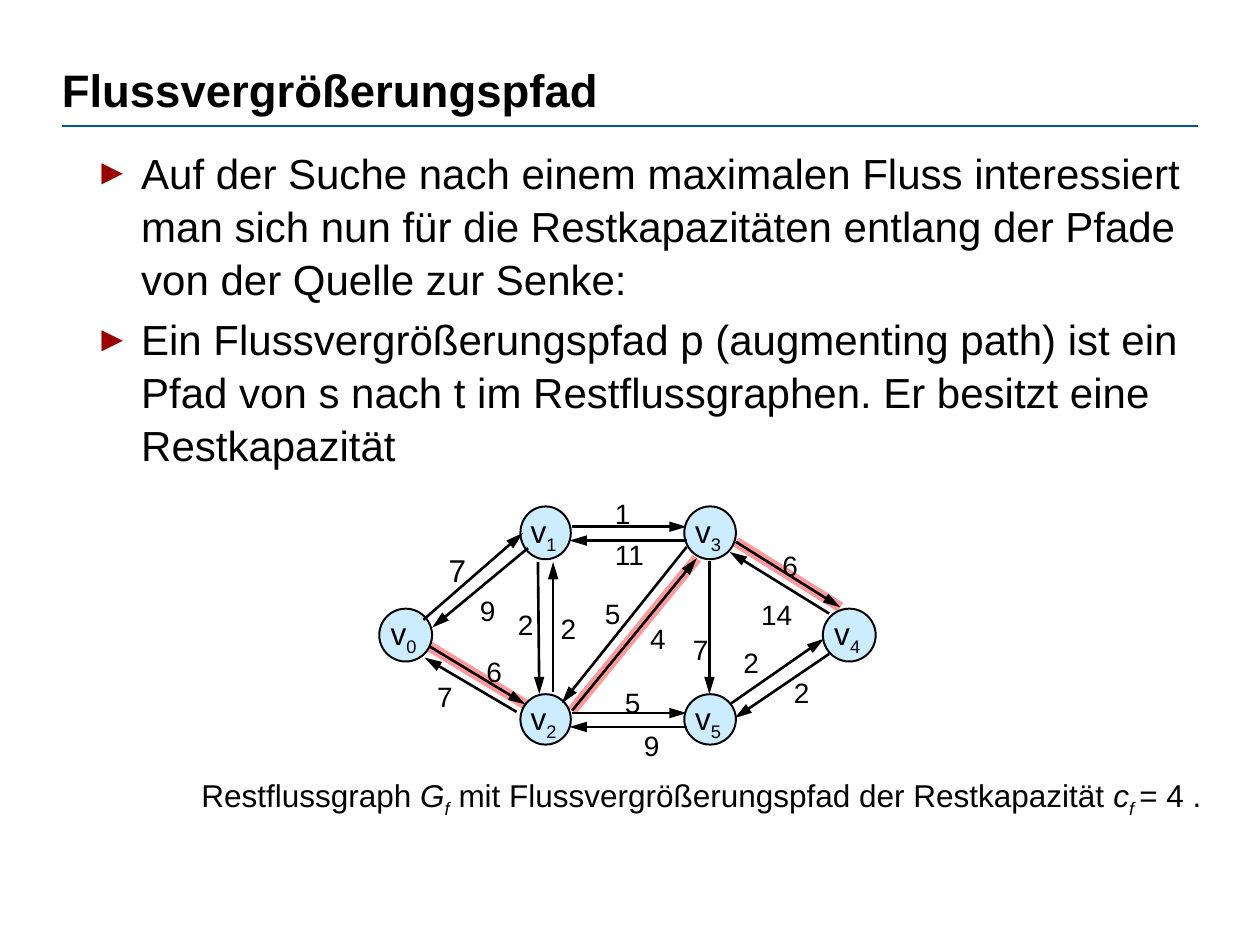
from dataclasses import dataclass

from lxml.etree import SubElement
from pptx import Presentation
from pptx.dml.color import RGBColor
from pptx.enum.shapes import MSO_CONNECTOR, MSO_SHAPE
from pptx.enum.text import MSO_ANCHOR, MSO_AUTO_SIZE, PP_ALIGN
from pptx.oxml.ns import qn
from pptx.util import Pt


@dataclass(frozen=True)
class Theme:
    font: str = "Arial"
    ink: str = "000000"
    rule: str = "005890"
    bullet: str = "990000"
    node: str = "CCECFF"
    path_glow: str = "FF9999"
    title: float = 26
    body: float = 24
    label: float = 18
    weight: float = 16
    line_spacing: float = 1.05


SUB = {"baseline": "-25000"}
ITALIC = {"italic": True}

BODY = [
    "Auf der Suche nach einem maximalen Fluss interessiert man sich nun für die "
    "Restkapazitäten entlang der Pfade von der Quelle zur Senke:",
    "Ein Flussvergrößerungspfad p (augmenting path) ist ein Pfad von s nach t im "
    "Restflussgraphen. Er besitzt eine Restkapazität",
]

CAPTION = [
    ("Restflussgraph ", {}),
    ("G", ITALIC),
    ("f", ITALIC | SUB),
    (" mit Flussvergrößerungspfad der Restkapazität ", {}),
    ("c", ITALIC),
    ("f ", ITALIC | SUB),
    ("= 4 .", {}),
]

NODES = {
    "0": (216.7, 347.8, 30.2, 30.2),
    "1": (297.4, 289.4, 28.8, 30.2),
    "2": (297.4, 396.7, 28.8, 28.8),
    "3": (391, 289.4, 29.5, 30.2),
    "4": (470.2, 347.8, 30.2, 30.2),
    "5": (391, 396.7, 29.5, 28.8),
}

EDGES_BEHIND_NODES = {
    "5-4": ((414, 404.6), (470.9, 365), "2", (424.8, 367.9)),
    "4-5": ((473.8, 373.7), (419.8, 410.4), "2", (453.6, 385.2)),
}

EDGES = {
    "0-1": ((241.9, 354.2), (298.8, 304.6), "7", (256.3, 313.9)),
    "1-0": ((301.7, 313.2), (247, 358.6), "9", (274.3, 338.4)),
    "2-3": ((326.9, 406.1), (398.2, 319), "4", (371.5, 354.2)),
    "3-2": ((392.4, 312.5), (321.1, 401.8), "5", (345.6, 339.8)),
    "1-3": ((326.9, 301), (392.4, 301), "1", (351.4, 283)),
    "3-1": ((392.4, 308.9), (325.4, 308.9), "11", (351.4, 306)),
    "0-2": ((245.5, 369.4), (300.2, 402.5), "6", (277.9, 373)),
    "2-0": ((295.2, 406.8), (242.6, 375.8), "7", (249.8, 387.4)),
    "2-5": ((326.9, 407.5), (392.4, 407.5), "5", (357.1, 391)),
    "5-2": ((392.4, 415.4), (325.4, 415.4), "9", (367.9, 415.4)),
    "3-4": ((420.5, 309.6), (480.2, 347), "6", (447.1, 312.5)),
    "4-3": ((473.8, 350.6), (416.9, 315.4), "14", (434.9, 340.6)),
    "3-5": ((405.4, 320.4), (405.4, 396.7), "7", (396, 360.7)),
    "1-2": ((307.4, 321.1), (308.2, 396.7), "2", (295.9, 346.3)),
    "2-1": ((316.1, 395.3), (316.1, 321.1), "2", (320.4, 348.5)),
}

AUGMENTING_PATH = ["3-4", "2-3", "0-2"]


def apply(target, values):
    for name, value in values.items():
        setattr(target, name, value)


class SlideBuilder:
    """Draws styled elements on the current slide, with lengths in points."""

    def __init__(self, page, theme):
        self.page = page
        self.theme = theme

    def frame(self, box, inset=(0, 0), **values):
        across, down = inset
        frame = box.text_frame
        apply(frame, {
            "margin_left": Pt(across), "margin_right": Pt(across),
            "margin_top": Pt(down), "margin_bottom": Pt(down),
            "vertical_anchor": MSO_ANCHOR.TOP, **values,
        })
        return frame

    def fill_para(self, para, spans, size):
        apply(para, {"alignment": PP_ALIGN.LEFT, "line_spacing": self.theme.line_spacing})
        for text, values in spans:
            span = para.add_run()
            span.text = text
            format_values = {"name": self.theme.font, "size": Pt(size), **values}
            baseline = format_values.pop("baseline", None)
            apply(span.font, format_values)
            span.font.color.rgb = RGBColor.from_string(self.theme.ink)
            if baseline:
                span.font._element.set("baseline", baseline)

    def title(self, text, left, top, width, height):
        box = self.page.shapes.title
        apply(box, {"left": Pt(left), "top": Pt(top), "width": Pt(width), "height": Pt(height)})
        frame = self.frame(box, auto_size=MSO_AUTO_SIZE.NONE)
        self.fill_para(frame.paragraphs[0], [(text, {"bold": True})], self.theme.title)

    def bullets(self, texts, left, top, width, height):
        box = self.page.shapes.add_textbox(Pt(left), Pt(top), Pt(width), Pt(height))
        frame = self.frame(box, word_wrap=True)
        for index, text in enumerate(texts):
            para = frame.add_paragraph() if index else frame.paragraphs[0]
            props = para._p.get_or_add_pPr()
            props.set("marL", str(Pt(45.4)))
            props.set("indent", str(-Pt(26.6)))
            color = SubElement(props, qn("a:buClr"))
            SubElement(color, qn("a:srgbClr"), val=self.theme.bullet)
            SubElement(props, qn("a:buSzPct"), val="85000")
            SubElement(props, qn("a:buFont"), typeface=self.theme.font)
            SubElement(props, qn("a:buChar"), char="►")
            if index:
                para.space_before = Pt(4.5)
            self.fill_para(para, [(text, {})], self.theme.body)

    def label(self, spans, left, top, width, height, size, inset=(0, 0)):
        box = self.page.shapes.add_textbox(Pt(left), Pt(top), Pt(width), Pt(height))
        frame = self.frame(box, inset, word_wrap=False, auto_size=MSO_AUTO_SIZE.SHAPE_TO_FIT_TEXT)
        self.fill_para(frame.paragraphs[0], spans, size)

    def line(self, start, end, color, width, arrow=False):
        ends = [Pt(value) for value in (*start, *end)]
        line = self.page.shapes.add_connector(MSO_CONNECTOR.STRAIGHT, *ends)
        line.line.color.rgb = RGBColor.from_string(color)
        line.line.width = Pt(width)
        if arrow:
            SubElement(line.line._get_or_add_ln(), qn("a:tailEnd"), type="triangle", w="med", len="lg")
        SubElement(line._element.spPr, qn("a:effectLst"))

    def node(self, index, left, top, width, height):
        circle = self.page.shapes.add_shape(
            MSO_SHAPE.OVAL, Pt(left), Pt(top), Pt(width), Pt(height))
        circle.shadow.inherit = False
        circle.fill.solid()
        circle.fill.fore_color.rgb = RGBColor.from_string(self.theme.node)
        circle.line.color.rgb = RGBColor.from_string(self.theme.ink)
        circle.line.width = Pt(1.13)
        self.label([("v", {}), (index, SUB)], left + width / 2 - 8.6, top + height / 2 - 13,
                   15.8, 21.6, self.theme.label)

    def edge(self, start, end, weight, place, size):
        self.line(start, end, self.theme.ink, 1.5, arrow=True)
        self.label([(weight, {})], *place, 0.556 * size * len(weight), 1.2 * size, size)


def main():
    deck = Presentation()
    deck.slide_width, deck.slide_height = Pt(720), Pt(540)
    theme = Theme()
    builder = SlideBuilder(deck.slides.add_slide(deck.slide_layouts[5]), theme)
    builder.title("Flussvergrößerungspfad", 35.3, 33.8, 648, 49)
    builder.line((35.3, 72), (684.7, 72), theme.rule, 0.75)
    builder.bullets(BODY, 35.3, 82.8, 648, 419)
    for name in AUGMENTING_PATH:
        start, end, *_ = EDGES[name]
        builder.line(start, end, theme.path_glow, 6)
    for edge in EDGES_BEHIND_NODES.values():
        builder.edge(*edge, theme.weight)
    for index, place in NODES.items():
        builder.node(index, *place)
    for name, edge in EDGES.items():
        builder.edge(*edge, theme.label if name == "0-1" else theme.weight)
    builder.label(CAPTION, 108, 438.5, 594.7, 51.1, theme.label, inset=(7.2, 3.6))
    deck.save("out.pptx")


if __name__ == "__main__":
    main()
